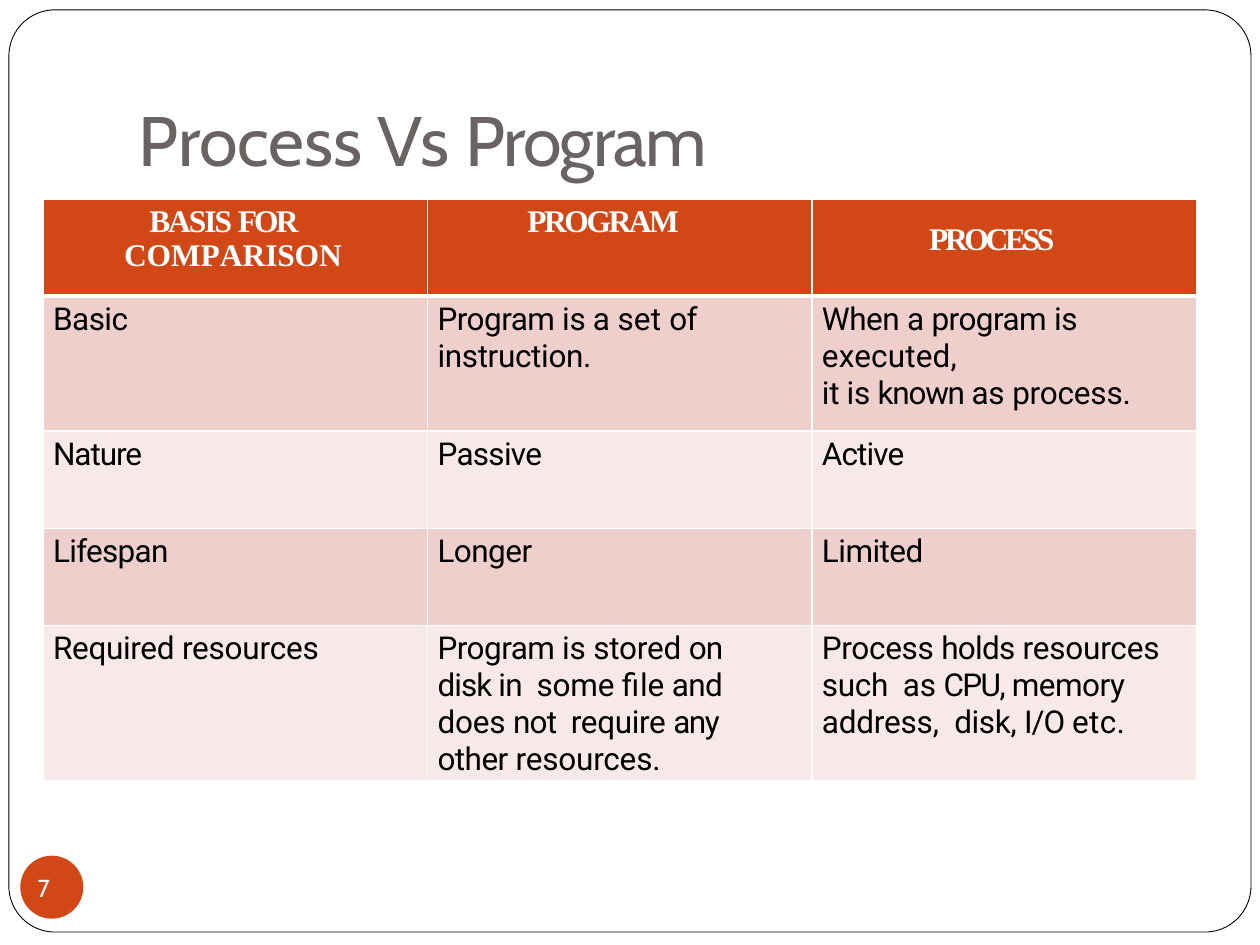
from dataclasses import dataclass
from typing import NamedTuple

from lxml.etree import SubElement
from pptx import Presentation
from pptx.dml.color import RGBColor
from pptx.enum.shapes import MSO_SHAPE as Shape
from pptx.enum.text import MSO_ANCHOR as Anchor, MSO_AUTO_SIZE as AutoSize, PP_ALIGN as Align
from pptx.oxml.ns import qn
from pptx.util import Cm, Pt


@dataclass(frozen=True)
class Theme:
    """Colours, fonts and type sizes of the slide."""
    accent: str = "D24716"
    title: str = "696363"
    white: str = "FFFFFF"
    black: str = "000000"
    bands: tuple = ("EECFCC", "F7E9E7")
    display: str = "Cabin"
    header: str = "Times New Roman"
    body: str = "Roboto"
    title_size: int = 40
    table_size: int = 18
    number_size: int = 14


class Piece(NamedTuple):
    """A stretch of text and its letter spacing in points."""
    text: str
    spacing: float = 0


@dataclass(frozen=True)
class CellText:
    """Paragraphs of one table cell with their indents in centimetres."""
    paragraphs: list
    left: float = 0.2
    first: float = 0
    top: float = 0.1
    right: float = 0


THEME = Theme()
COLUMN = 7.75
ROWS = [1.96, 2.72, 1.96, 1.96, 3.12]


def cell(*paragraphs: list, **layout: float) -> CellText:
    """Describe a cell whose paragraphs are lists of text and spacing pairs."""
    return CellText([[Piece(*piece) for piece in pieces] for pieces in paragraphs], **layout)


TABLE = [
    [cell([("BASIS ", -1.2), ("FOR ", -1.6), ("COM", -0.1), ("P", -1.6), ("AR", 0), ("ISON", -0.1)],
          left=1.63, first=0.51),
     cell([("PROGRAM", -1.4)], left=2.01),
     cell([("PROCESS", -1.9)], left=2.36, top=0.48)],
    [cell([("Basic", -0.3)]),
     cell([("Program ", -0.3), ("is a ", -0.2), ("set ", 0.1), ("of", -0.5)],
          [("instruction.", -0.2)]),
     cell([("When ", -0.3), ("a ", -0.2), ("program ", -0.3), ("is ", -0.2), ("executed,", 0.1)],
          [("it is ", -0.2), ("known ", -0.7), ("as ", -0.2), ("process.", -0.1)])],
    [cell([("Nature", -0.6)]), cell([("Passive", -0.4)]), cell([("Active", -0.5)])],
    [cell([("Lifespan", -0.4)]), cell([("Longer", -0.3)]), cell([("Limited", -0.3)])],
    [cell([("Required ", -0.2), ("resources", -0.1)]),
     cell([("Program ", -0.3), ("is ", -0.2), ("stored ", -0.1), ("on ", -0.6), ("disk in  ", -0.5),
           ("some file ", -0.1), ("and ", -0.4), ("does ", -0.1), ("not  ", -0.5),
           ("require ", -0.2), ("any ", -0.9), ("other ", -0.3), ("resources.", -0.1)], right=0.61),
     cell([("Process ", -0.2), ("holds ", -0.4), ("resources ", -0.1), ("such  as ", -0.2),
           ("CPU, ", -0.9), ("memory ", -0.3), ("address,  ", -0.1), ("disk, ", -0.2),
           ("I/O ", -0.6), ("etc.", 0.2)])],
]


def write(tf, paragraphs: list, *, font: str, size: float, color: str, bold: bool = False,
          left: float = 0, first: float = 0, line: float | None = None) -> None:
    """Fill a text frame with paragraphs of spaced pieces."""
    for i, pieces in enumerate(paragraphs):
        p = tf.paragraphs[0] if i == 0 else tf.add_paragraph()
        p.alignment = Align.LEFT
        if line:
            p.line_spacing = Pt(line)
        ppr = p._p.get_or_add_pPr()
        ppr.set("marL", str(Cm(left)))
        ppr.set("indent", str(Cm(first)))
        for piece in pieces:
            r = p.add_run()
            r.text = piece.text
            r.font.name, r.font.size, r.font.bold = font, Pt(size), bold
            r.font.color.rgb = RGBColor.from_string(color)
            r._r.get_or_add_rPr().set("spc", str(round(piece.spacing * 100)))


def set_frame(tf, top: float = 0) -> None:
    """Give a text frame tight insets, wrapping and a top anchor."""
    tf.margin_left = tf.margin_right = tf.margin_bottom = 0
    tf.margin_top = Cm(top)
    tf.word_wrap = True
    tf.auto_size = AutoSize.NONE
    tf.vertical_anchor = Anchor.TOP


def add_border(tc, side: str, width: float) -> None:
    """Draw one white border of a table cell."""
    ln = SubElement(tc._tc.get_or_add_tcPr(), qn(f"a:ln{side}"), w=str(Pt(width)))
    SubElement(SubElement(ln, qn("a:solidFill")), qn("a:srgbClr"), val=THEME.white)


def add_title(s) -> None:
    """Place and write the title placeholder."""
    title = s.shapes.title
    title.left, title.top, title.width, title.height = Cm(2.77), Cm(1.9), Cm(11.86), Cm(1.78)
    set_frame(title.text_frame, top=0.05)
    pieces = [Piece("Process ", -0.1), Piece("Vs ", 0.2), Piece("Program", -1)]
    write(title.text_frame, [pieces], font=THEME.display, size=THEME.title_size,
          color=THEME.title, left=0.03)


def add_frame(s) -> None:
    """Draw the rounded outline around the slide."""
    sp = s.shapes.add_shape(Shape.ROUNDED_RECTANGLE, Cm(0.18), Cm(0.2), Cm(25.04), Cm(18.59))
    sp.shadow.inherit = False
    sp.adjustments[0] = 0.05
    sp.fill.background()
    sp.line.color.rgb = RGBColor.from_string(THEME.black)
    sp.line.width = Pt(0.5)


def add_comparison(s) -> None:
    """Build the comparison table."""
    columns = len(TABLE[0])
    table = s.shapes.add_table(len(TABLE), columns, Cm(0.87), Cm(4.01),
                               Cm(COLUMN * columns), Cm(sum(ROWS))).table
    table.first_row = table.horz_banding = False
    for column in table.columns:
        column.width = Cm(COLUMN)
    for i, (height, texts) in enumerate(zip(ROWS, TABLE)):
        table.rows[i].height = Cm(height)
        head = i == 0
        for j, text in enumerate(texts):
            tc = table.cell(i, j)
            tc.margin_left = tc.margin_bottom = 0
            tc.margin_right, tc.margin_top = Cm(text.right), Cm(text.top)
            for side, width in zip("LRTB", (1, 1, 3 if i == 1 else 1, 3 if head else 1)):
                add_border(tc, side, width)
            tc.fill.solid()
            fill = THEME.accent if head else THEME.bands[(i - 1) % 2]
            tc.fill.fore_color.rgb = RGBColor.from_string(fill)
            write(tc.text_frame, text.paragraphs, font=THEME.header if head else THEME.body,
                  size=THEME.table_size, color=THEME.white if head else THEME.black,
                  bold=head, left=text.left, first=text.first)


def add_number(s) -> None:
    """Draw the slide number on its disc."""
    disc = s.shapes.add_shape(Shape.OVAL, Cm(0.41), Cm(17.25), Cm(1.27), Cm(1.27))
    disc.shadow.inherit = False
    disc.fill.solid()
    disc.fill.fore_color.rgb = RGBColor.from_string(THEME.accent)
    disc.line.fill.background()
    tf = s.shapes.add_textbox(Cm(0.66), Cm(17.6), Cm(0.79), Cm(0.64)).text_frame
    set_frame(tf)
    write(tf, [[Piece("7", 0.8)]], font=THEME.display, size=THEME.number_size,
          color=THEME.white, left=0.1, line=16.6)


def main() -> None:
    """Build and save the slide."""
    prs = Presentation()
    prs.slide_width, prs.slide_height = Cm(25.4), Cm(19.05)
    s = prs.slides.add_slide(prs.slide_layouts[5])
    add_frame(s)
    add_title(s)
    add_comparison(s)
    add_number(s)
    prs.save("out.pptx")


if __name__ == "__main__":
    main()
